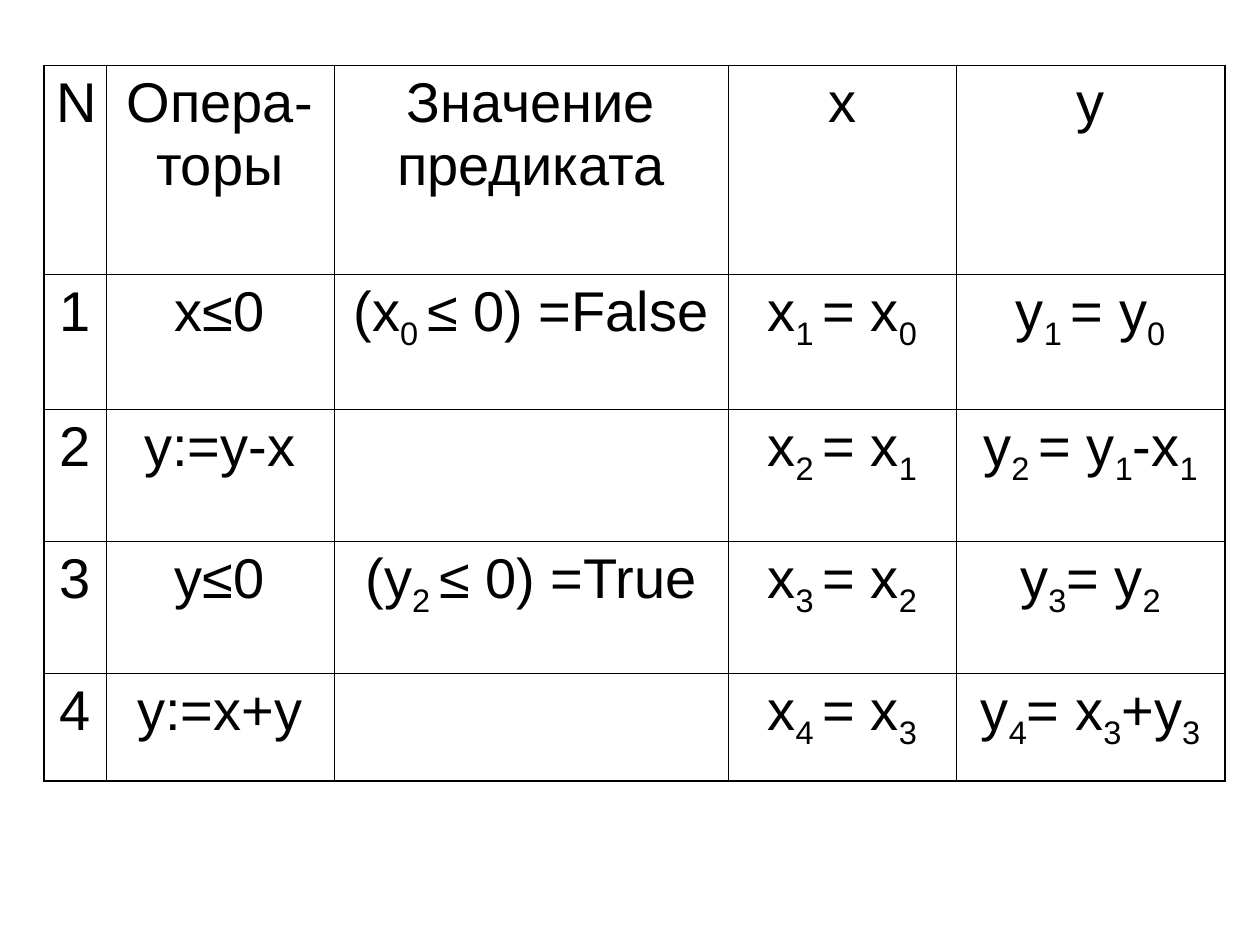
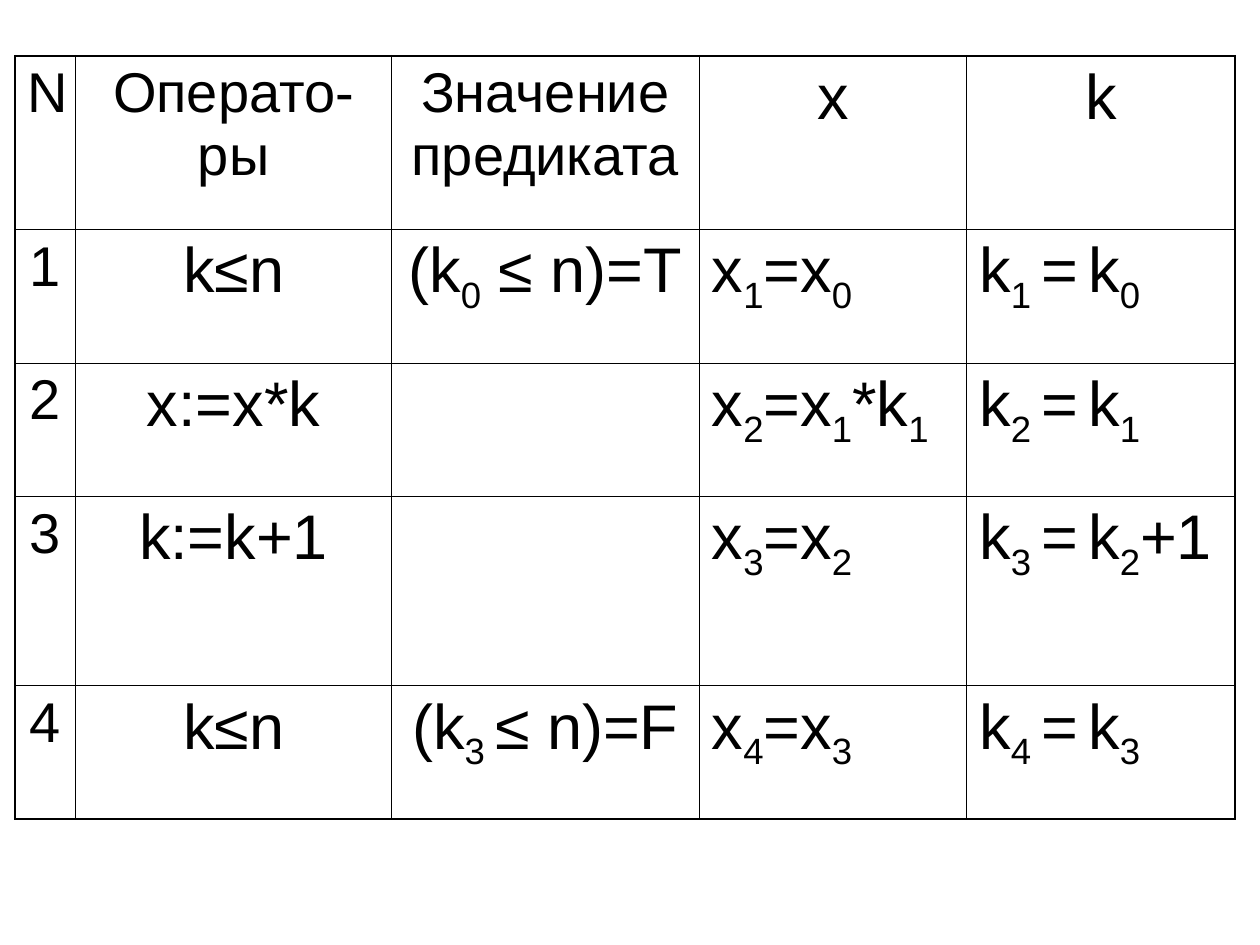
"""Build two trace tables that follow variable values operator by operator."""
from lxml import etree
from pptx import Presentation
from pptx.dml.color import RGBColor
from pptx.enum.text import PP_ALIGN
from pptx.oxml.ns import qn
from pptx.util import Pt

CENTER, LEFT = PP_ALIGN.CENTER, PP_ALIGN.LEFT
BLANK_LAYOUT = 6

TRACES = [
    {
        "origin": (25.2, 37.4),
        "columns": [35.3, 130.3, 225.4, 130.3, 153.4],
        "rows": [119.5, 77, 75.6, 75.6, 61.2],
        "formula_size": 32,
        "value_align": CENTER,
        "cells": [
            ["N", "Опера-торы", "Значение предиката", "x", "y"],
            ["1", "x≤0", "(x_0 _≤ 0) =False", "x_1 _= x_0", "y_1 _= y_0"],
            ["2", "y:=y-x", "", "x_2 _= x_1", "y_2 _= y_1_-x_1"],
            ["3", "y≤0", "(y_2 _≤ 0) =True", "x_3 _= x_2", "y_3_= y_2"],
            ["4", "y:=x+y", "", "x_4 _= x_3", "y_4_= x_3_+y_3"],
        ],
    },
    {
        "origin": (8.6, 31.9),
        "columns": [34.7, 180.4, 175.9, 152.9, 153.4],
        "rows": [99.2, 76.3, 76.3, 108.2, 76.3],
        "formula_size": 36,
        "value_align": LEFT,
        "cells": [
            ["N", "Операто-ры", "Значение предиката", "x", "k"],
            ["1", "k≤n", "(k_0_ ≤ n)=T", "x_1_=x_0", "k_1 _=_ _k_0"],
            ["2", "х:=x*k", "", "x_2_=x_1_*k_1", "k_2 _=_ _k_1"],
            ["3", "k:=k+1", "", "x_3_=x_2", "k_3 _=_ _k_2_+1"],
            ["4", "k≤n", "(k_3 _≤ n)=F", "x_4_=x_3", "k_4 _=_ _k_3"],
        ],
    },
]

THEME = {
    "ink": "000000",
    "font": "Arial",
    "label_size": 32,
    "outer_line": 1.08,
    "inner_line": 0.45,
    "subscript": "-25000",
}
FIRST_VALUE_COLUMN = 3


def write_formula(cell, formula, size, align):
    """Write text in which underscores switch subscript on and off."""
    paragraph = cell.text_frame.paragraphs[0]
    paragraph.alignment = align
    for index, part in enumerate(formula.split("_")):
        run = paragraph.add_run()
        run.text = part
        for key, value in {"name": THEME["font"], "size": Pt(size)}.items():
            setattr(run.font, key, value)
        run.font.color.rgb = RGBColor.from_string(THEME["ink"])
        if index % 2:
            run.font._element.set("baseline", THEME["subscript"])


def draw_borders(cell, outer_sides):
    """Rule all four sides, heavier along the table's edge."""
    properties = cell._tc.get_or_add_tcPr()
    for position, (side, is_outer) in enumerate(outer_sides.items()):
        weight = THEME["outer_line" if is_outer else "inner_line"]
        line = etree.Element(qn(f"a:ln{side}"), w=str(Pt(weight)))
        fill = etree.SubElement(line, qn("a:solidFill"))
        etree.SubElement(fill, qn("a:srgbClr"), val=THEME["ink"])
        properties.insert(position, line)


def add_trace(slide, trace):
    """Place one trace table on a slide."""
    columns, rows = trace["columns"], trace["rows"]
    frame = (*trace["origin"], sum(columns), sum(rows))
    table = slide.shapes.add_table(len(rows), len(columns), *map(Pt, frame)).table
    for flag in ("first_row", "horz_banding"):
        setattr(table, flag, False)
    for column, width in zip(table.columns, columns):
        column.width = Pt(width)
    for row, height in zip(table.rows, rows):
        row.height = Pt(height)
    for r, formulas in enumerate(trace["cells"]):
        for c, formula in enumerate(formulas):
            cell = table.cell(r, c)
            cell.fill.background()
            draw_borders(cell, {"L": c == 0, "R": c == len(columns) - 1,
                                "T": r == 0, "B": r == len(rows) - 1})
            is_value = c >= FIRST_VALUE_COLUMN
            is_label = c == 0 or (r == 0 and not is_value)
            size = THEME["label_size"] if is_label else trace["formula_size"]
            align = trace["value_align"] if r and is_value else CENTER
            write_formula(cell, formula, size, align)


def main():
    """Create the presentation and save it."""
    deck = Presentation()
    deck.slide_width, deck.slide_height = Pt(720), Pt(540)
    for trace in TRACES:
        add_trace(deck.slides.add_slide(deck.slide_layouts[BLANK_LAYOUT]), trace)
    deck.save("out.pptx")


if __name__ == "__main__":
    main()
